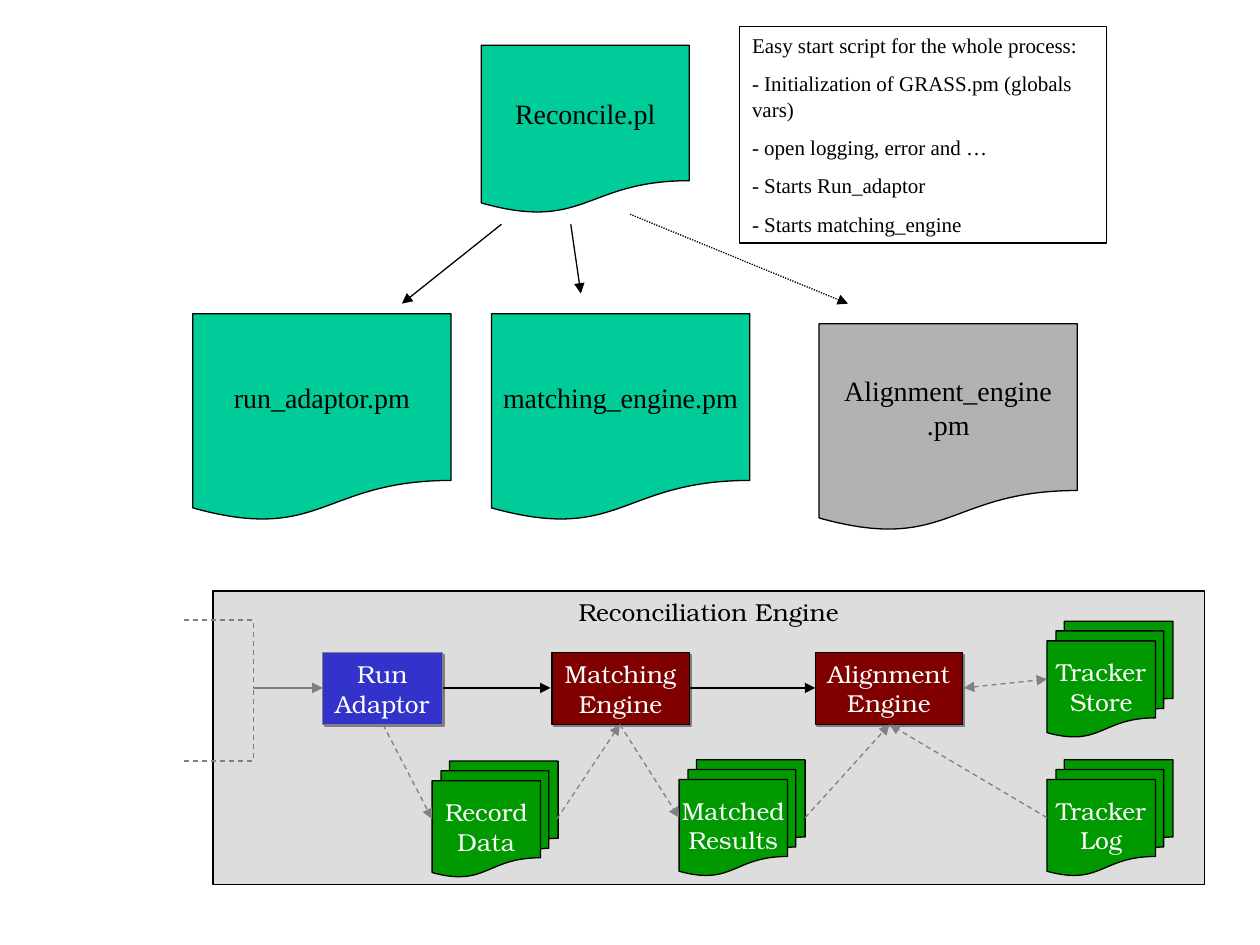
from lxml import etree
from pptx import Presentation
from pptx.dml.color import RGBColor
from pptx.enum.dml import MSO_LINE
from pptx.enum.shapes import MSO_CONNECTOR, MSO_SHAPE
from pptx.enum.text import MSO_ANCHOR, PP_ALIGN
from pptx.oxml.ns import qn
from pptx.util import Inches, Pt

RECT = MSO_SHAPE.RECTANGLE
DOC = MSO_SHAPE.FLOWCHART_DOCUMENT
MULTI_DOC = MSO_SHAPE.FLOWCHART_MULTIDOCUMENT
STRAIGHT, ELBOW = MSO_CONNECTOR.STRAIGHT, MSO_CONNECTOR.ELBOW
DASH, DOT = MSO_LINE.DASH, MSO_LINE.ROUND_DOT
TOP, MIDDLE = MSO_ANCHOR.TOP, MSO_ANCHOR.MIDDLE
LEFT, CENTER = PP_ALIGN.LEFT, PP_ALIGN.CENTER

BLACK = RGBColor(0x00, 0x00, 0x00)
WHITE = RGBColor(0xFF, 0xFF, 0xFF)
GRAY = RGBColor(0x80, 0x80, 0x80)
PANEL_GRAY = RGBColor(0xDD, 0xDD, 0xDD)
SCRIPT_GRAY = RGBColor(0xB2, 0xB2, 0xB2)
TEAL = RGBColor(0x00, 0xCC, 0x99)
BLUE = RGBColor(0x33, 0x33, 0xCC)
MAROON = RGBColor(0x80, 0x00, 0x00)
GREEN = RGBColor(0x00, 0x99, 0x00)

SERIF, BOOKMAN = "Times New Roman", "TeX Gyre Bonum"
LINE_WIDTH = Pt(0.75)

PANEL = (["Reconciliation Engine"], (1.69, 4.69, 7.87, 2.33))

NOTE = ([
    "Easy start script for the whole process:",
    "- Initialization of GRASS.pm (globals vars)",
    "- open logging, error and …",
    "- Starts Run_adaptor",
    "- Starts matching_engine",
], (5.87, 0.21, 2.91, 1.72))

# lines, (left, top, width, height), fill
SCRIPTS = [
    (["Reconcile.pl"], (3.82, 0.36, 1.65, 1.34), TEAL),
    (["run_adaptor.pm"], (1.53, 2.49, 2.05, 1.65), TEAL),
    (["matching_engine.pm"], (3.9, 2.49, 2.05, 1.65), TEAL),
    (["Alignment_engine", ".pm"], (6.5, 2.57, 2.05, 1.65), SCRIPT_GRAY),
]

# lines, left, width, fill, outline, anchor
STEP_TOP, STEP_HEIGHT = 5.18, 0.57
STEPS = [
    (["Run", "Adaptor"], 2.56, 0.95, BLUE, GRAY, MIDDLE),
    (["Matching", "Engine"], 4.38, 1.09, MAROON, BLACK, MIDDLE),
    (["Alignment", "Engine"], 6.47, 1.17, MAROON, BLACK, TOP),
]

# lines, left, top
STORE_SIZE = (1, 0.92)
STORES = [
    (["Tracker", "Store"], 8.31, 4.93),
    (["Matched", "Results"], 5.39, 6.03),
    (["Record", "Data"], 3.43, 6.04),
    (["Tracker", "Log"], 8.31, 6.03),
]

# kind, colour, dash, both ends, [(start, end)]
ARROWS = [
    (STRAIGHT, BLACK, None, False, [
        ((3.52, 5.46), (4.37, 5.46)), ((5.47, 5.46), (6.47, 5.46)),
        ((3.98, 1.78), (3.19, 2.41)), ((4.53, 1.78), (4.61, 2.33))]),
    (STRAIGHT, BLACK, DOT, False, [((5, 1.7), (6.73, 2.41))]),
    (ELBOW, GRAY, DASH, False, [
        ((1.46, 4.92), (2.56, 5.46)), ((1.46, 6.04), (2.56, 5.46))]),
    (STRAIGHT, GRAY, DASH, False, [
        ((3.04, 5.75), (3.43, 6.5)), ((4.42, 6.5), (4.92, 5.75)),
        ((4.92, 5.75), (5.39, 6.49)), ((6.39, 6.49), (7.06, 5.75)),
        ((8.31, 6.49), (7.06, 5.75))]),
    (STRAIGHT, GRAY, DASH, True, [((7.65, 5.46), (8.31, 5.39))]),
]


def add_box(slide, kind, lines, box, fill, font, outline=BLACK, anchor=MIDDLE,
            align=CENTER, wrap=False, space=0):
    """Add a shape with one paragraph per line; font is (name, points, colour)."""
    sp = slide.shapes.add_shape(kind, *map(Inches, box))
    sp.shadow.inherit = False
    if fill is None:
        sp.fill.background()
    else:
        sp.fill.solid()
        sp.fill.fore_color.rgb = fill
    sp.line.color.rgb = outline
    sp.line.width = LINE_WIDTH
    tf = sp.text_frame
    tf.word_wrap = wrap
    tf.vertical_anchor = anchor
    name, size, color = font
    for i, line in enumerate(lines):
        p = tf.paragraphs[0] if i == 0 else tf.add_paragraph()
        p.alignment = align
        p.space_before = Pt(space)
        r = p.add_run()
        r.text = line
        for key, value in {"name": name, "size": Pt(size)}.items():
            setattr(r.font, key, value)
        r.font.color.rgb = color
    return sp


def add_hard_shadow(sp):
    effects = sp._element.spPr.find(qn("a:effectLst"))
    shadow = etree.SubElement(effects, qn("a:outerShdw"), dist=str(Pt(1.4)),
                              dir=str(45 * 60000), algn="ctr", rotWithShape="0")
    etree.SubElement(shadow, qn("a:srgbClr"), val=str(GRAY))


def add_arrow(slide, kind, start, end, color, dash, both_ends):
    cx = slide.shapes.add_connector(kind, *map(Inches, start + end))
    cx.line.color.rgb = color
    cx.line.width = LINE_WIDTH
    if dash:
        cx.line.dash_style = dash
    ln = cx.line._get_or_add_ln()
    for tag in ("a:headEnd", "a:tailEnd") if both_ends else ("a:tailEnd",):
        etree.SubElement(ln, qn(tag), type="triangle")
    etree.SubElement(cx._element.spPr, qn("a:effectLst"))


def main():
    prs = Presentation()
    prs.slide_width, prs.slide_height = Inches(10), Inches(7.5)
    slide = prs.slides.add_slide(prs.slide_layouts[6])

    add_box(slide, RECT, *PANEL, PANEL_GRAY, (BOOKMAN, 14, BLACK),
            anchor=TOP, wrap=True)
    for lines, left, width, fill, outline, anchor in STEPS:
        sp = add_box(slide, RECT, lines, (left, STEP_TOP, width, STEP_HEIGHT),
                     fill, (BOOKMAN, 14, WHITE), outline, anchor)
        add_hard_shadow(sp)
    for lines, left, top in STORES:
        add_box(slide, MULTI_DOC, lines, (left, top, *STORE_SIZE), GREEN,
                (BOOKMAN, 14, WHITE))
    for lines, box, fill in SCRIPTS:
        add_box(slide, DOC, lines, box, fill, (SERIF, 16, BLACK))
    add_box(slide, RECT, *NOTE, None, (SERIF, 12, BLACK), anchor=TOP,
            align=LEFT, wrap=True, space=7.5)
    for kind, color, dash, both_ends, routes in ARROWS:
        for start, end in routes:
            add_arrow(slide, kind, start, end, color, dash, both_ends)

    prs.save("out.pptx")


if __name__ == "__main__":
    main()
